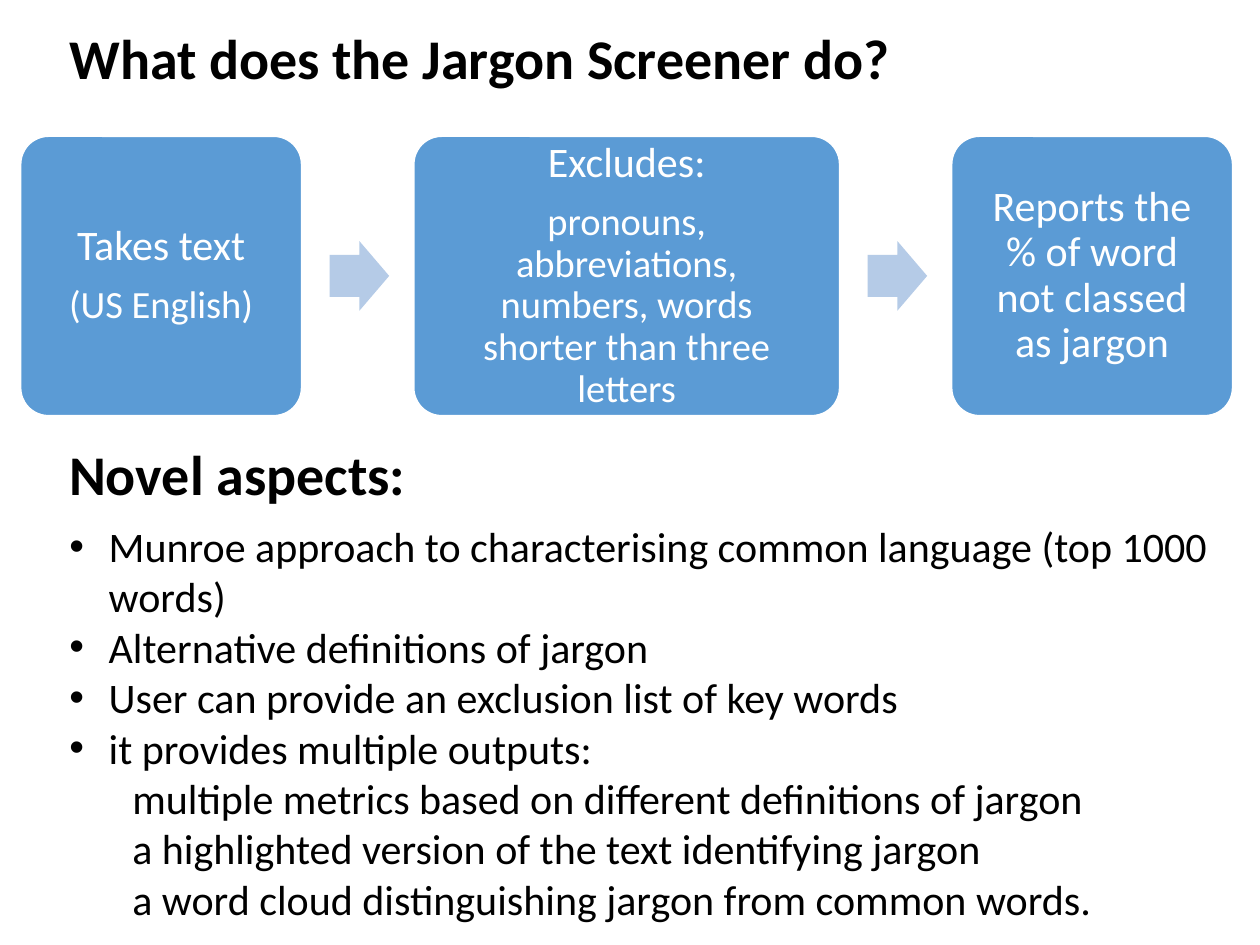
"""Build the slide on what the jargon tool does and what is new about it."""
from lxml import etree
from pptx import Presentation
from pptx.dml.color import RGBColor
from pptx.enum import shapes, text
from pptx.oxml import ns
from pptx.util import Pt

QUESTION = "What does the Jargon Screener do?"
STEPS = [
    (160.6, ["Takes text", "(US English)"]),
    (243.4, ["Excludes:", "pronouns, abbreviations, numbers, words shorter than three letters"]),
    (160.6, ["Reports the % of word not classed as jargon"]),
]
NOVELTY = "Novel aspects:"
ASPECTS = [
    (0, "Munroe approach to characterising common language (top 1000 words)"),
    (0, "Alternative definitions of jargon"),
    (0, "User can provide an exclusion list of key words"),
    (0, "it provides multiple outputs:"),
    (1, "multiple metrics based on different definitions of jargon"),
    (1, "a highlighted version of the text identifying jargon"),
    (1, "a word cloud distinguishing jargon from common words."),
]
THEME = {
    "font": "Calibri", "ink": "000000", "paper": "FFFFFF",
    "step": "5B9BD5", "arrow": "B5CBE7",
    "heading": 32, "body": 24, "detail": 22,
}
INDENTS = {0: (22.5, -22.5), 1: (36, 0)}
MARGIN = 32.4
STEP_LEFT, STEP_TOP, STEP_HEIGHT, STEP_GAP = 11.8, 77.8, 159.8, 64
ARROW_WIDTH, ARROW_HEIGHT = 34, 39.8


def colour(name):
    return RGBColor.from_string(THEME[name])


def write(paragraph, words, size, ink="ink", bold=False):
    run = paragraph.add_run()
    run.text = words
    run.font.name = THEME["font"]
    run.font.size = Pt(THEME[size])
    run.font.bold = bold
    run.font.color.rgb = colour(ink)


def place(part, left, top, width, height):
    part.left, part.top, part.width, part.height = map(Pt, (left, top, width, height))


def prepare(frame, anchor=text.MSO_ANCHOR.TOP):
    frame.word_wrap = True
    frame.auto_size = text.MSO_AUTO_SIZE.NONE
    frame.vertical_anchor = anchor


def add_heading(part, words, top):
    place(part, MARGIN, top, 631.4, 46)
    prepare(part.text_frame)
    paragraph = part.text_frame.paragraphs[0]
    paragraph.alignment = text.PP_ALIGN.LEFT
    write(paragraph, words, "heading", bold=True)


def add_block(slide, kind, fill, left, top, width, height):
    block = slide.shapes.add_shape(kind, *map(Pt, (left, top, width, height)))
    block.shadow.inherit = False
    block.fill.solid()
    block.fill.fore_color.rgb = colour(fill)
    block.line.fill.background()
    return block


def add_step(slide, left, width, lines):
    step = add_block(slide, shapes.MSO_SHAPE.ROUNDED_RECTANGLE, "step",
                     left, STEP_TOP, width, STEP_HEIGHT)
    step.adjustments[0] = 0.1
    step.line.color.rgb = colour("paper")
    step.line.width = Pt(1)
    frame = step.text_frame
    prepare(frame, text.MSO_ANCHOR.MIDDLE)
    frame.margin_left = frame.margin_right = Pt(11.5)
    for i, line in enumerate(lines):
        paragraph = frame.add_paragraph() if i else frame.paragraphs[0]
        paragraph.alignment = text.PP_ALIGN.CENTER
        paragraph.line_spacing = 0.9
        paragraph.space_after = Pt(9)
        write(paragraph, line, "detail" if i else "body", "paper")


def add_arrow(slide, gap_left):
    arrow = add_block(slide, shapes.MSO_SHAPE.RIGHT_ARROW, "arrow",
                      gap_left + (STEP_GAP - ARROW_WIDTH) / 2 + 1,
                      STEP_TOP + (STEP_HEIGHT - ARROW_HEIGHT) / 2,
                      ARROW_WIDTH, ARROW_HEIGHT)
    arrow.adjustments[0] = 0.6
    arrow.adjustments[1] = 0.5


def add_aspects(part):
    place(part, MARGIN, 293.8, 671.8, 246.2)
    prepare(part.text_frame)
    for i, (level, words) in enumerate(ASPECTS):
        paragraph = part.text_frame.add_paragraph() if i else part.text_frame.paragraphs[0]
        paragraph.level = level
        paragraph.space_before = Pt(0)
        margin, indent = INDENTS[level]
        properties = paragraph._p.get_or_add_pPr()
        properties.set("marL", str(Pt(margin)))
        properties.set("indent", str(Pt(indent)))
        if level:
            etree.SubElement(properties, ns.qn("a:buNone"))
        else:
            etree.SubElement(properties, ns.qn("a:buFont"), typeface="Arial")
            etree.SubElement(properties, ns.qn("a:buChar"), char="•")
        write(paragraph, words, "body")


deck = Presentation()
deck.slide_width, deck.slide_height = Pt(720), Pt(540)
slide = deck.slides.add_slide(deck.slide_layouts[1])
add_heading(slide.shapes.title, QUESTION, 10.1)
left = STEP_LEFT
for i, (width, lines) in enumerate(STEPS):
    if i:
        add_arrow(slide, left - STEP_GAP)
    add_step(slide, left, width, lines)
    left += width + STEP_GAP
add_heading(slide.shapes.add_textbox(0, 0, 0, 0), NOVELTY, 247.7)
add_aspects(slide.placeholders[1])
deck.save("out.pptx")
